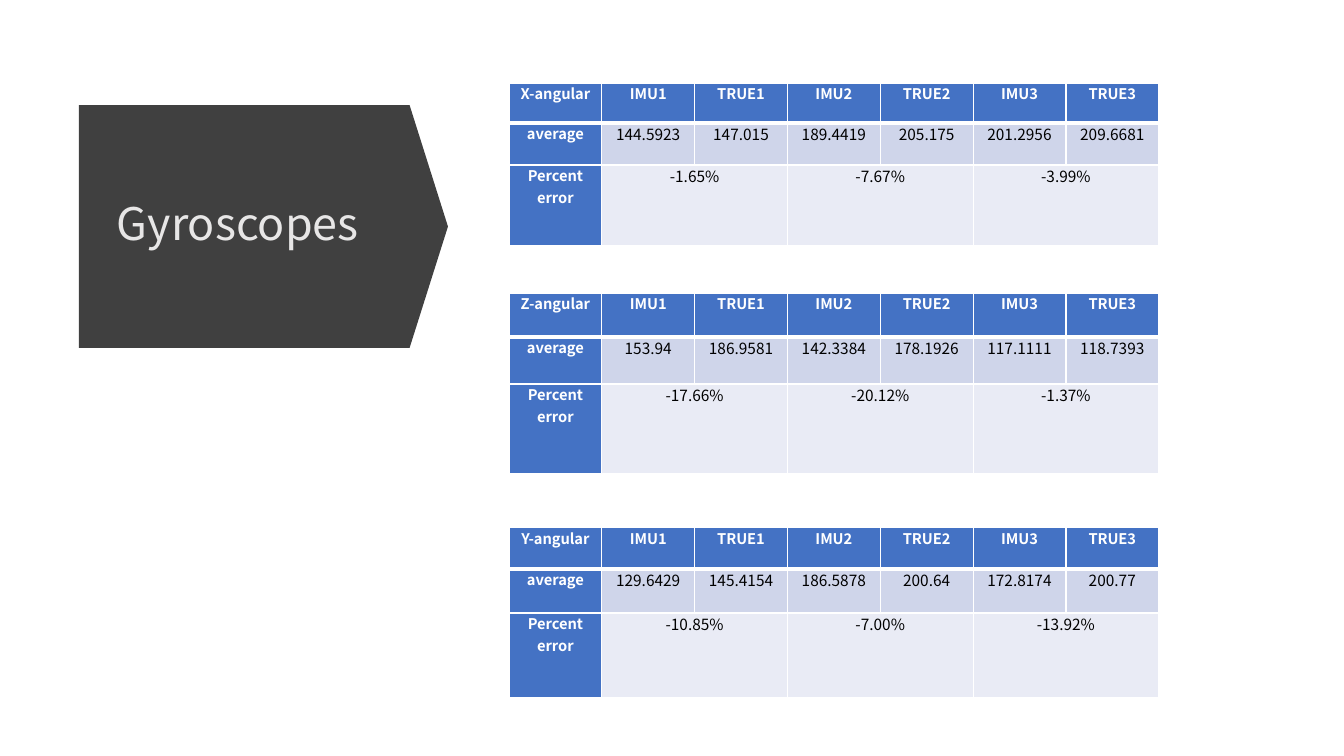
from dataclasses import dataclass

from lxml.etree import SubElement
from pptx import Presentation
from pptx.dml.color import RGBColor
from pptx.enum.shapes import MSO_SHAPE as Shape
from pptx.enum.text import MSO_ANCHOR as Anchor, PP_ALIGN as Align
from pptx.oxml.ns import qn
from pptx.util import Emu, Pt

EMU_PER_PX = 914400 / 100.8
HEADINGS = ["IMU1", "TRUE1", "IMU2", "TRUE2", "IMU3", "TRUE3"]
AXES = [
    ("X-angular", 83, (40, 42, 81),
     ["144.5923", "147.015", "189.4419", "205.175", "201.2956", "209.6681"],
     ["-1.65%", "-7.67%", "-3.99%"]),
    ("Z-angular", 293, (44, 47, 90),
     ["153.94", "186.9581", "142.3384", "178.1926", "117.1111", "118.7393"],
     ["-17.66%", "-20.12%", "-1.37%"]),
    ("Y-angular", 527, (42, 44, 85),
     ["129.6429", "145.4154", "186.5878", "200.64", "172.8174", "200.77"],
     ["-10.85%", "-7.00%", "-13.92%"]),
]


@dataclass(frozen=True)
class Theme:
    """Hold the colours, font and type sizes of the slide."""
    font: str = "Noto Sans CJK SC"
    arrow: str = "404040"
    title: str = "E7E6E6"
    heading_fill: str = "4472C4"
    heading_text: str = "FFFFFF"
    average_fill: str = "CFD5EA"
    error_fill: str = "E9EBF5"
    value_text: str = "000000"
    border: str = "FFFFFF"
    title_size: float = 32
    heading_size: float = 10.5
    value_size: float = 11


THEME = Theme()


def px(length):
    """Turn a length in px into EMU."""
    return Emu(round(length * EMU_PER_PX))


def paint(fill, color):
    """Give a fill one solid colour."""
    fill.solid()
    fill.fore_color.rgb = RGBColor.from_string(color)


def write(frame, text, *, size, color, bold=False, align=Align.LEFT, spacing=1.0):
    """Put one formatted paragraph into a text frame."""
    frame.word_wrap = True
    paragraph = frame.paragraphs[0]
    paragraph.alignment = align
    paragraph.line_spacing = spacing
    run = paragraph.add_run()
    run.text = text
    run.font.name = THEME.font
    run.font.size = Pt(size)
    run.font.bold = bold
    run.font.color.rgb = RGBColor.from_string(color)


def add_title(slide, text):
    """Draw the title over an arrow that points right."""
    arrow = slide.shapes.add_shape(Shape.DOWN_ARROW, px(142), px(42), px(243), px(369))
    arrow.rotation = 270
    arrow.adjustments[0] = 1
    arrow.adjustments[1] = 0.158
    arrow.shadow.inherit = False
    arrow.line.fill.background()
    paint(arrow.fill, THEME.arrow)
    box = slide.shapes.add_textbox(px(107), px(128), px(294), px(197))
    box.text_frame.vertical_anchor = Anchor.MIDDLE
    write(box.text_frame, text, size=THEME.title_size, color=THEME.title, spacing=0.9)


def set_borders(cell, top, bottom):
    """Draw the four borders of a cell, side borders one point wide."""
    properties = cell._tc.get_or_add_tcPr()
    for side, points in (("L", 1), ("R", 1), ("T", top), ("B", bottom)):
        line = SubElement(properties, qn(f"a:ln{side}"), w=str(Pt(points)))
        solid = SubElement(line, qn("a:solidFill"))
        SubElement(solid, qn("a:srgbClr"), val=THEME.border)


def format_cell(cell, row, column):
    """Set the margins, borders and fill of a cell by its place."""
    cell.margin_left = cell.margin_right = px(7)
    cell.margin_top = cell.margin_bottom = 0
    set_borders(cell, top=3 if row == 1 else 1, bottom=3 if row == 0 else 1)
    if row == 0 or column == 0:
        paint(cell.fill, THEME.heading_fill)
    else:
        paint(cell.fill, THEME.average_fill if row == 1 else THEME.error_fill)


def write_cell(cell, text, is_heading):
    """Write a centred heading or value into a cell."""
    write(cell.text_frame, text, bold=is_heading, align=Align.CENTER,
          size=THEME.heading_size if is_heading else THEME.value_size,
          color=THEME.heading_text if is_heading else THEME.value_text)


def add_axis_table(slide, axis, top, heights, averages, errors):
    """Add the table of averages and errors for one axis."""
    rows = [[axis, *HEADINGS], ["average", *averages], ["Percent error", *errors]]
    count = len(rows[0])
    width = px(650)
    table = slide.shapes.add_table(
        len(rows), count, px(509), px(top), width, px(sum(heights))).table
    table.horz_banding = False
    for column in table.columns:
        column.width = Emu(width // count)
    for row, height in enumerate(heights):
        table.rows[row].height = px(height)
        for column in range(count):
            format_cell(table.cell(row, column), row, column)
    for column in range(1, count, 2):
        table.cell(2, column).merge(table.cell(2, column + 1))
    for row, texts in enumerate(rows):
        for index, text in enumerate(texts):
            column = 2 * index - 1 if row == 2 and index else index
            write_cell(table.cell(row, column), text, row == 0 or column == 0)


def main():
    """Build the slide and save it."""
    presentation = Presentation()
    presentation.slide_width = px(1344)
    presentation.slide_height = px(756)
    slide = presentation.slides.add_slide(presentation.slide_layouts[6])
    add_title(slide, "Gyroscopes")
    for axis in AXES:
        add_axis_table(slide, *axis)
    presentation.save("out.pptx")


if __name__ == "__main__":
    main()
